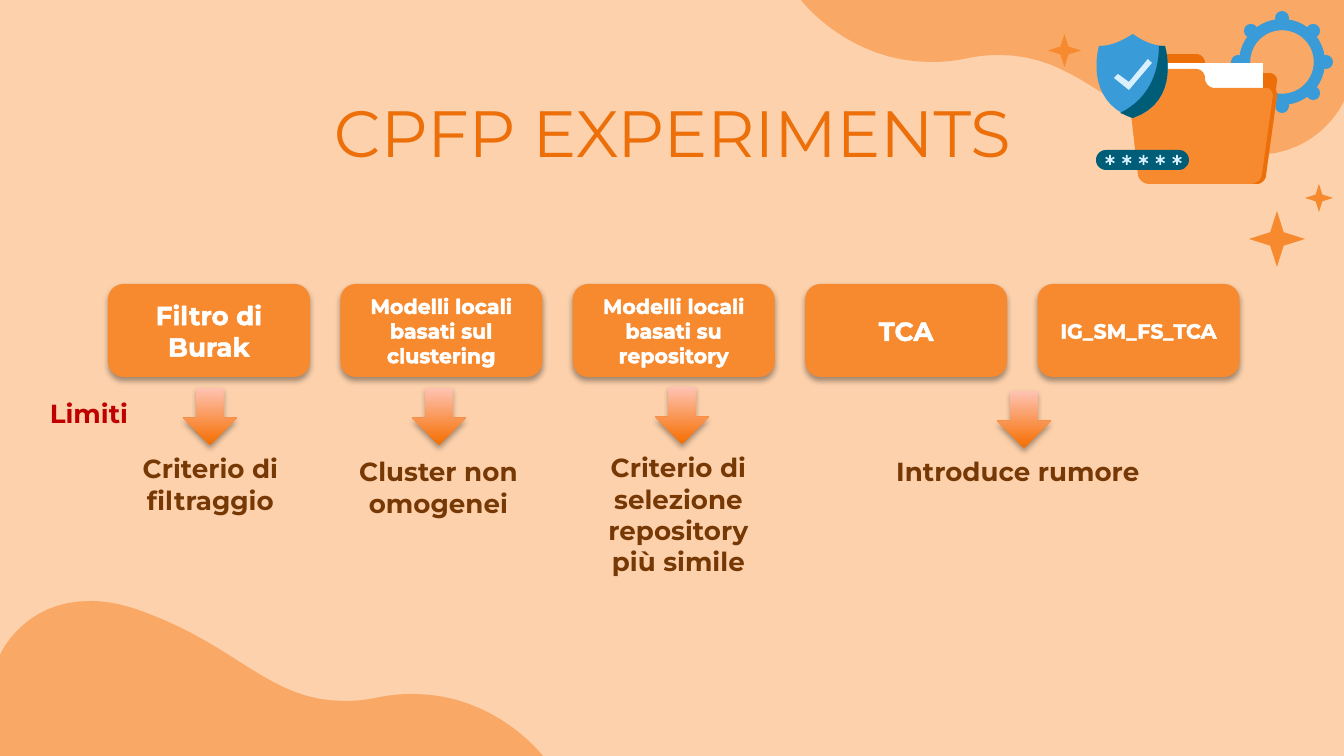
import math

import pptx
import pptx.dml.color
import pptx.enum.shapes
import pptx.enum.text
import pptx.oxml
import pptx.util

PX = 914400 / 134.4
WIDE, HIGH = 1344, 756
KIND = pptx.enum.shapes.MSO_SHAPE
TEXT = pptx.enum.text
NS = 'xmlns:a="http://schemas.openxmlformats.org/drawingml/2006/main"'

THEME = {
    "font": "Montserrat",
    "back": "FCD1AC", "blob": "F9A866", "main": "F78A2F", "dark": "EC6F09",
    "blue": "399BD8", "teal": "005D77", "pale": "D9F1FF", "white": "FFFFFF",
    "note": "763804", "limit": "C00000", "deep": "F56E00", "pink": "FFC3B3",
    "title": 35, "large": 14, "small": 11,
}

TITLE = "CPFP EXPERIMENTS"
CARDS = [
    ("Filtro di Burak", "large"),
    ("Modelli locali basati sul clustering", "small"),
    ("Modelli locali basati su repository", "small"),
    ("TCA", "large"),
    ("IG_SM_FS_TCA", "small"),
]
NOTES = [  # text, box, colour, wrap
    ("Criterio di filtraggio", (105, 446, 211, 77), "note", True),
    ("Cluster non omogenei", (333, 449, 211, 77), "note", True),
    ("Criterio di selezione repository più simile", (573, 445, 211, 140), "note", True),
    ("Introduce rumore", (860, 449, 316, 46), "note", True),
    ("Limiti", (36, 391, 106, 46), "limit", False),
]
ARROWS = [(183, 388), (412, 388), (655, 387), (997, 391)]
SPARKS = [(1048, 34, 33), (1249, 211, 56), (1305, 184, 28)]

# Outlines: a start point, then lines (2 values) and curves (6 values)
BLOB = [(1344, 0), (1344, 101), (1344, 101, 1321, 155, 1254, 155),
        (1239, 155, 1221, 152, 1200, 144), (1104, 109, 1075, 55, 999, 55),
        (988, 55, 977, 56, 964, 59), (953, 61, 942, 62, 931, 62),
        (848, 62, 801, 0, 801, 0)]
FOLDER = [(1136, 54), (1130, 54, 1127, 59, 1127, 63), (1138, 160),
          (1139, 165, 1144, 169, 1149, 169), (1257, 169),
          (1261, 169, 1266, 165, 1266, 160), (1277, 82),
          (1278, 77, 1274, 73, 1269, 73), (1215, 73),
          (1209, 73, 1205, 68, 1205, 63), (1205, 58, 1201, 54, 1196, 54)]
SIDE = [(1265, 87), (1269, 87, 1273, 91, 1273, 96), (1262, 175),
        (1261, 180, 1256, 184, 1251, 184), (1257, 184),
        (1261, 184, 1266, 180, 1266, 175), (1277, 96),
        (1278, 91, 1274, 87, 1269, 87)]
SHIELD = [(1133, 34), (1129, 36, 1116, 46, 1099, 46),
          (1099, 46, 1083, 101, 1133, 118), (1182, 101, 1165, 46, 1165, 46),
          (1149, 46, 1136, 36, 1133, 34)]
SHADE = [(1159, 46), (1159, 66, 1153, 97, 1120, 113),
         (1124, 114, 1128, 117, 1133, 118), (1182, 101, 1165, 46, 1165, 46)]
TICK = [(1148, 59), (1129, 82), (1118, 74), (1114, 78), (1129, 90), (1152, 63)]


def emu(*vals):
    return [round(v * PX) for v in vals]


def color(name):
    return pptx.dml.color.RGBColor.from_string(THEME[name])


def paint(shape, fill):
    shape.shadow.inherit = False
    shape.line.fill.background()
    shape.fill.solid()
    shape.fill.fore_color.rgb = color(fill)
    return shape


def add(slide, kind, box, fill, adjust=None):
    shape = paint(slide.shapes.add_shape(kind, *emu(*box)), fill)
    if adjust is not None:
        shape.adjustments[0] = adjust
    return shape


def trace(steps, count=16):
    """Turn lines and cubic curves into a list of points."""
    points = [steps[0]]
    for step in steps[1:]:
        if len(step) == 2:
            points.append(step)
            continue
        nodes = [points[-1], step[:2], step[2:4], step[4:]]
        for i in range(1, count + 1):
            t = i / count
            mix = ((1 - t) ** 3, 3 * t * (1 - t) ** 2, 3 * t * t * (1 - t), t ** 3)
            points.append(tuple(sum(m * n[k] for m, n in zip(mix, nodes)) for k in (0, 1)))
    return points


def draw(slide, points, fill, down=0):
    spots = [emu(x, y + down) for x, y in points]
    pen = slide.shapes.build_freeform(*spots[0])
    pen.add_line_segments(spots[1:], close=True)
    return paint(pen.convert_to_shape(), fill)


def polar(x, y, reach, angle):
    turn = math.radians(angle)
    return x + reach * math.cos(turn), y + reach * math.sin(turn)


def aster(x, y, reach=5, half=0.8):
    """Outline of a six-armed asterisk."""
    points = []
    for angle in range(30, 390, 60):
        tip = polar(x, y, reach, angle)
        points += [polar(*tip, half, angle - 90), polar(*tip, half, angle + 90),
                   polar(x, y, 2 * half, angle + 30)]
    return points


def shade(shape):
    shape._element.spPr.find(pptx.oxml.ns.qn("a:effectLst")).append(pptx.oxml.parse_xml(
        f'<a:outerShdw {NS} blurRad="39370" dist="22860" dir="5400000" rotWithShape="0">'
        '<a:srgbClr val="000000"><a:alpha val="35000"/></a:srgbClr></a:outerShdw>'))


def write(shape, text, size, ink, bold=True, wrap=True, anchor="TOP"):
    frame = shape.text_frame
    frame.word_wrap = wrap
    frame.vertical_anchor = getattr(TEXT.MSO_ANCHOR, anchor)
    para = frame.paragraphs[0]
    para.alignment = TEXT.PP_ALIGN.CENTER
    run = para.add_run()
    run.text = text
    style = {"name": THEME["font"], "size": pptx.util.Pt(THEME[size]), "bold": bold}
    for key, val in style.items():
        setattr(run.font, key, val)
    run.font.color.rgb = color(ink)
    return run


def add_art(slide):
    points = trace(BLOB)
    draw(slide, [(WIDE - x, HIGH - y) for x, y in points], "blob")
    draw(slide, points, "blob")

    hub = (1282, 62)
    add(slide, KIND.DONUT, (hub[0] - 43, hub[1] - 43, 86, 86), "blue", 0.13)
    for angle in range(0, 360, 45):
        x, y = polar(*hub, 44, angle)
        add(slide, KIND.OVAL, (x - 7, y - 7, 14, 14), "blue")

    draw(slide, trace(FOLDER), "dark")
    add(slide, KIND.RECTANGLE, (1142, 63, 121, 115), "white")
    draw(slide, trace(FOLDER), "main", 15)
    for steps, fill in ((SIDE, "dark"), (SHIELD, "blue"), (SHADE, "teal"), (TICK, "pale")):
        draw(slide, trace(steps), fill)

    add(slide, KIND.ROUNDED_RECTANGLE, (1096, 150, 93, 20), "teal", 0.5)
    for i in range(5):
        draw(slide, aster(1110 + 16.75 * i, 160), "pale")
    for x, y, size in SPARKS:
        add(slide, KIND.STAR_4_POINT, (x, y, size, size), "main", 0.17)


def add_cards(slide):
    for i, (text, size) in enumerate(CARDS):
        box = (108 + 232.4 * i, 284, 202, 93)
        card = add(slide, KIND.ROUNDED_RECTANGLE, box, "main")
        shade(card)
        run = write(card, text, size, "white", anchor="MIDDLE")
        run._r.get_or_add_rPr().insert(0, pptx.oxml.parse_xml(
            f'<a:ln {NS} w="10160"><a:solidFill>'
            f'<a:srgbClr val="{THEME["white"]}"/></a:solidFill></a:ln>'))


def add_notes(slide):
    for text, box, ink, wrap in NOTES:
        write(slide.shapes.add_textbox(*emu(*box)), text, "large", ink, wrap=wrap)
    for x, y in ARROWS:
        arrow = add(slide, KIND.DOWN_ARROW, (x, y, 54, 57), "deep")
        arrow.fill.gradient()
        arrow.fill.gradient_angle = 90
        for stop, place, name in zip(arrow.fill.gradient_stops, (0, 1), ("deep", "pink")):
            stop.position = place
            stop.color.rgb = color(name)
        shade(arrow)


def add_title(slide):
    title = slide.shapes.title
    title.left, title.top, title.width, title.height = emu(106, 79, 1133, 100)
    frame = title.text_frame
    frame.auto_size = TEXT.MSO_AUTO_SIZE.NONE
    for side in ("left", "top", "right", "bottom"):
        setattr(frame, f"margin_{side}", pptx.util.Inches(0.1))
    write(title, TITLE, "title", "dark", bold=False)


def main():
    deck = pptx.Presentation()
    deck.slide_width, deck.slide_height = emu(WIDE, HIGH)
    slide = deck.slides.add_slide(deck.slide_layouts[5])
    slide.background.fill.solid()
    slide.background.fill.fore_color.rgb = color("back")
    add_art(slide)
    add_cards(slide)
    add_notes(slide)
    add_title(slide)
    deck.save("out.pptx")


if __name__ == "__main__":
    main()
